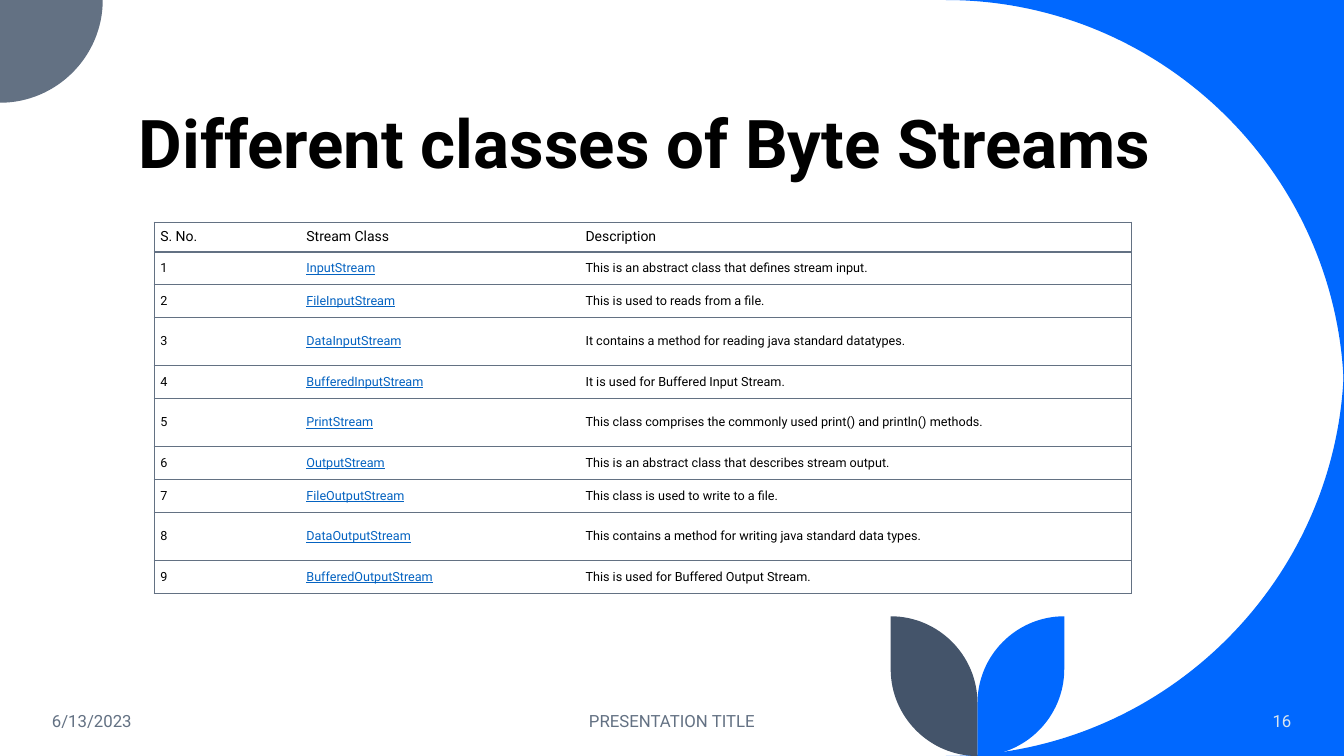
from lxml import etree
from pptx import Presentation
from pptx import util as u
from pptx.dml.color import RGBColor
from pptx.enum import text as t
from pptx.oxml.ns import qn

WIDTH, HEIGHT = 960, 540
BLUE, SLATE, NAVY = "0068FF", "637183", "44546A"
BLACK, WHITE, LINK, PALE = "000000", "FFFFFF", "0563C1", "DAE5EF"
FONT = "Roboto"
NO_TABLE_STYLE = "{2D5ABB26-0587-4C30-8999-92F81FD0307C}"

TITLE = "Different classes of Byte Streams"
HEADER = ("S. No.", "Stream Class", "Description")
STREAMS = [
    ("InputStream", "This is an abstract class that defines stream input."),
    ("FileInputStream", "This is used to reads from a file."),
    ("DataInputStream", "It contains a method for reading java standard datatypes."),
    ("BufferedInputStream", "It is used for Buffered Input Stream."),
    ("PrintStream", "This class comprises the commonly used print() and println() methods."),
    ("OutputStream", "This is an abstract class that describes stream output."),
    ("FileOutputStream", "This class is used to write to a file."),
    ("DataOutputStream", "This contains a method for writing java standard data types."),
    ("BufferedOutputStream", "This is used for Buffered Output Stream."),
]
TALL_ROWS = (3, 5, 8)
HEADER_HEIGHT, ROW_HEIGHT, TALL_HEIGHT = 21.2, 23.4, 34.5
COLUMN_WIDTHS = (104.4, 199.4, 394.4)
TABLE_LEFT, TABLE_TOP = 110.2, 158.8

# text, left, width, alignment, colour
FOOTERS = [
    ("6/13/2023", 30, 216, t.PP_ALIGN.LEFT, SLATE),
    ("PRESENTATION TITLE", 318, 324, t.PP_ALIGN.CENTER, SLATE),
    ("16", 799.2, 130.3, t.PP_ALIGN.RIGHT, PALE),
]
FOOTER_TOP, FOOTER_HEIGHT = 500.4, 28.8

CURVE_RADIUS, CORNER_RADIUS = 284.4, 73.4
LEAF_RADIUS, LEAF_HEIGHT, STEM = 62, 99.8, 698.2
ARC_RATIO = 0.55


def color(value):
    """Turn a hex string into a colour."""
    return RGBColor.from_string(value)


def write(frame, content, size, fill=BLACK, bold=False, underline=False,
          align=t.PP_ALIGN.LEFT, spacing=None):
    """Put one formatted paragraph into a text frame."""
    paragraph = frame.paragraphs[0]
    paragraph.alignment = align
    if spacing:
        paragraph.line_spacing = spacing
    run = paragraph.add_run()
    run.text = content
    font = run.font
    font.name, font.size, font.bold = FONT, u.Pt(size), bold
    font.underline = underline
    font.color.rgb = color(fill)


def quarter(start, corner, end):
    """Give the two control points and the end of a quarter circle."""
    controls = [tuple(p + ARC_RATIO * (c - p) for p, c in zip(point, corner))
                for point in (start, end)]
    return (*controls, end)


def outline(slide, start, segments, fill):
    """Draw a filled outline; one point makes a line, three make a curve."""
    points = [(u.Pt(x), u.Pt(y)) for segment in segments for x, y in segment]
    builder = slide.shapes.build_freeform(u.Pt(start[0]), u.Pt(start[1]))
    builder.add_line_segments(points, close=True)
    shape = builder.convert_to_shape()
    steps = iter(list(shape._element.iter(qn("a:lnTo"))))
    for segment in segments:
        first, *others = [next(steps) for _ in segment]
        if others:
            curve = etree.Element(qn("a:cubicBezTo"))
            first.addprevious(curve)
            for step in (first, *others):
                curve.append(step[0])
                step.getparent().remove(step)
    shape.shadow.inherit = False
    shape.fill.solid()
    shape.fill.fore_color.rgb = color(fill)
    shape.line.fill.background()


def add_decoration(slide):
    """Draw the corner shapes and the two leaves."""
    curve_x = WIDTH - CURVE_RADIUS
    top_start, top_end = (curve_x, 0), (WIDTH, CURVE_RADIUS)
    outline(slide, (WIDTH, 0),
            [(top_start,), quarter(top_start, (WIDTH, 0), top_end)], BLUE)
    bottom_start, bottom_end = (WIDTH, HEIGHT - CURVE_RADIUS), (curve_x, HEIGHT)
    bottom_corner = (WIDTH, HEIGHT)
    outline(slide, bottom_start,
            [quarter(bottom_start, bottom_corner, bottom_end), (bottom_corner,)], BLUE)
    right, low = (CORNER_RADIUS, 0), (0, CORNER_RADIUS)
    outline(slide, (0, 0),
            [(right,), quarter(right, (CORNER_RADIUS, CORNER_RADIUS), low)], SLATE)

    leaf_top = HEIGHT - LEAF_HEIGHT
    for direction, fill in ((1, BLUE), (-1, NAVY)):
        outer = STEM + direction * LEAF_RADIUS
        tip, root = (outer, leaf_top), (STEM, HEIGHT)
        side, inner = (outer, HEIGHT - LEAF_RADIUS), (STEM, leaf_top + LEAF_RADIUS)
        outline(slide, tip,
                [(side,), quarter(side, (outer, HEIGHT), root),
                 (inner,), quarter(inner, (STEM, leaf_top), tip)], fill)


def add_title(slide):
    """Place and format the title above the decoration."""
    title = slide.shapes.title
    title.left, title.top, title.width, title.height = map(u.Pt, (91.8, 30.2, 769.7, 104.4))
    frame = title.text_frame
    frame.word_wrap = True
    frame.auto_size = t.MSO_AUTO_SIZE.NONE
    frame.vertical_anchor = t.MSO_ANCHOR.BOTTOM
    write(frame, TITLE, 48, bold=True, spacing=0.9)
    slide.shapes._spTree.append(title._element)


def set_borders(cell, sides):
    """Rule the named sides of a cell and leave the others bare."""
    properties = cell._tc.get_or_add_tcPr()
    for position, side in enumerate("LRTB"):
        line = etree.Element(qn(f"a:ln{side}"), w=str(u.Pt(1)))
        if side in sides:
            fill = etree.SubElement(line, qn("a:solidFill"))
            etree.SubElement(fill, qn("a:srgbClr"), val=SLATE)
        else:
            etree.SubElement(line, qn("a:noFill"))
        properties.insert(position, line)


def add_stream_table(slide):
    """Build the table of stream classes."""
    rows = [HEADER] + [(str(i), *stream) for i, stream in enumerate(STREAMS, 1)]
    heights = [HEADER_HEIGHT] + [TALL_HEIGHT if i in TALL_ROWS else ROW_HEIGHT
                                 for i in range(1, len(rows))]
    table = slide.shapes.add_table(
        len(rows), len(HEADER), u.Pt(TABLE_LEFT), u.Pt(TABLE_TOP),
        u.Pt(sum(COLUMN_WIDTHS)), u.Pt(sum(heights))).table
    table.horz_banding = False
    table._tbl.tblPr.find(qn("a:tableStyleId")).text = NO_TABLE_STYLE
    for column, width in zip(table.columns, COLUMN_WIDTHS):
        column.width = u.Pt(width)
    for r, (values, height) in enumerate(zip(rows, heights)):
        table.rows[r].height = u.Pt(height)
        for c, value in enumerate(values):
            cell = table.cell(r, c)
            cell.margin_left = cell.margin_right = u.Pt(4.3)
            cell.margin_top = cell.margin_bottom = u.Pt(6.4 if r else 4.3)
            cell.vertical_anchor = t.MSO_ANCHOR.MIDDLE
            cell.fill.solid()
            cell.fill.fore_color.rgb = color(WHITE)
            set_borders(cell, ("LTB", "TB", "RTB")[c])
            is_link = r > 0 and c == 1
            write(cell.text_frame, value, 9 if r else 10,
                  fill=LINK if is_link else BLACK, underline=is_link)


def add_footers(slide):
    """Add the date, the footer text and the slide number."""
    for content, left, width, align, fill in FOOTERS:
        box = slide.shapes.add_textbox(u.Pt(left), u.Pt(FOOTER_TOP),
                                       u.Pt(width), u.Pt(FOOTER_HEIGHT))
        frame = box.text_frame
        frame.word_wrap = True
        frame.vertical_anchor = t.MSO_ANCHOR.MIDDLE
        write(frame, content, 12, fill=fill, align=align)


presentation = Presentation()
presentation.slide_width, presentation.slide_height = u.Pt(WIDTH), u.Pt(HEIGHT)
slide = presentation.slides.add_slide(presentation.slide_layouts[5])
add_decoration(slide)
add_title(slide)
add_stream_table(slide)
add_footers(slide)
presentation.save("out.pptx")
